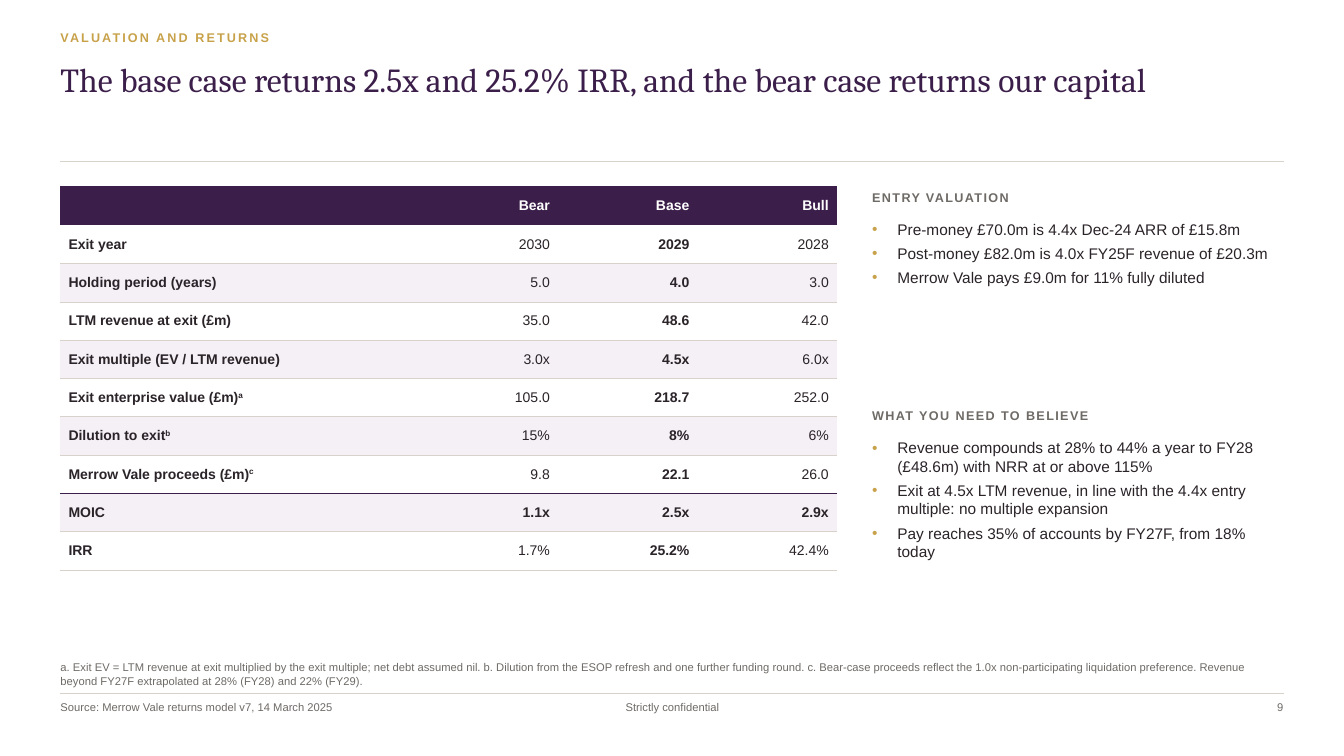
from lxml.etree import SubElement
from pptx import Presentation
from pptx.dml.color import RGBColor
from pptx.enum.shapes import MSO_CONNECTOR
from pptx.enum.text import MSO_ANCHOR, MSO_AUTO_SIZE, PP_ALIGN
from pptx.oxml import parse_xml
from pptx.oxml.ns import nsdecls, qn
from pptx.util import Emu, Inches, Pt

PURPLE, GOLD, INK, GREY = "3B1F4A", "C8A24A", "2A2328", "6E6A66"
RULE, TINT, WHITE = "D8D2CA", "F4F0F6", "FFFFFF"
color = RGBColor.from_string

LEFT, WIDTH = 0.6, 12.13
RIGHT = LEFT + WIDTH
SIDE, SIDE_WIDTH = 8.65, 4.08
FOOTER_TOP = 6.95


def lay_out(box, left, top, width, height, anchor=MSO_ANCHOR.TOP):
    """Position a text shape, clear its insets and return its text frame."""
    box.left, box.top = Inches(left), Inches(top)
    box.width, box.height = Inches(width), Inches(height)
    frame = box.text_frame
    frame.margin_left = frame.margin_right = frame.margin_top = frame.margin_bottom = 0
    frame.word_wrap = True
    frame.auto_size = MSO_AUTO_SIZE.NONE
    frame.vertical_anchor = anchor
    return frame


def add_run(paragraph, text, size, ink, bold=False, face="Arial", tracking=0, raised=False):
    run = paragraph.add_run()
    run.text = text
    run.font.size, run.font.name, run.font.bold = Pt(size), face, bold
    run.font.color.rgb = color(ink)
    properties = run._r.get_or_add_rPr()
    if tracking:
        properties.set("spc", str(int(tracking * 100)))
    if raised:
        properties.set("baseline", "30000")


prs = Presentation()
prs.slide_width, prs.slide_height = Inches(13.33), Inches(7.5)
slide = prs.slides.add_slide(prs.slide_layouts.get_by_name("Comparison"))
holders = {holder.placeholder_format.idx: holder for holder in slide.placeholders}

# Rules under the title and above the footer
for y, weight in [(1.6, 0.75), (6.88, 0.5)]:
    rule = slide.shapes.add_connector(
        MSO_CONNECTOR.STRAIGHT, Inches(LEFT), Inches(y), Inches(RIGHT), Inches(y))
    rule.line.color.rgb, rule.line.width = color(RULE), Pt(weight)
    SubElement(rule._element.spPr, qn("a:effectLst"))

# Title
headline = lay_out(holders[0], LEFT, 0.62, WIDTH, 0.9).paragraphs[0]
headline.alignment, headline.line_spacing = PP_ALIGN.LEFT, 0.92
add_run(headline, "The base case returns 2.5x and 25.2% IRR, and the bear case returns our capital",
        24, PURPLE, face="Cambria")

# Section label and column headings
for text, left, top, width, height, ink, tracking in [
    ("VALUATION AND RETURNS", LEFT, 0.3, 7, 0.25, GOLD, 1.5),
    ("ENTRY VALUATION", SIDE, 1.88, SIDE_WIDTH, 0.22, GREY, 1),
    ("WHAT YOU NEED TO BELIEVE", SIDE, 4.05, SIDE_WIDTH, 0.22, GREY, 1),
]:
    label = lay_out(slide.shapes.add_textbox(0, 0, 0, 0), left, top, width, height)
    add_run(label.paragraphs[0], text, 9, ink, bold=True, tracking=tracking)

# Returns table: label, footnote mark, bear, base, bull
returns = [
    ("", "", "Bear", "Base", "Bull"),
    ("Exit year", "", "2030", "2029", "2028"),
    ("Holding period (years)", "", "5.0", "4.0", "3.0"),
    ("LTM revenue at exit (£m)", "", "35.0", "48.6", "42.0"),
    ("Exit multiple (EV / LTM revenue)", "", "3.0x", "4.5x", "6.0x"),
    ("Exit enterprise value (£m)", "a", "105.0", "218.7", "252.0"),
    ("Dilution to exit", "b", "15%", "8%", "6%"),
    ("Merrow Vale proceeds (£m)", "c", "9.8", "22.1", "26.0"),
    ("MOIC", "", "1.1x", "2.5x", "2.9x"),
    ("IRR", "", "1.7%", "25.2%", "42.4%"),
]
TABLE_WIDTH, LABEL_WIDTH, ROW_HEIGHT = 7.7, 3.55, 0.38
MOIC_ROW, BASE_COLUMN = 8, 2

table = slide.shapes.add_table(
    len(returns), 4, Inches(LEFT), Inches(1.85),
    Inches(TABLE_WIDTH), Inches(ROW_HEIGHT * len(returns))).table
table.first_row = table.horz_banding = False
for c, column in enumerate(table.columns):
    column.width = Inches((TABLE_WIDTH - LABEL_WIDTH) / 3 if c else LABEL_WIDTH)

for r, (metric, mark, *cases) in enumerate(returns):
    table.rows[r].height = Inches(ROW_HEIGHT)
    header = r == 0
    edges = {
        "L": None,
        "R": None,
        "T": (PURPLE, 1) if r == MOIC_ROW else (RULE, 0.5) if r > 1 else None,
        "B": None if header else (PURPLE, 1) if r == MOIC_ROW - 1 else (RULE, 0.5),
    }
    for c, value in enumerate([metric, *cases]):
        cell = table.cell(r, c)
        cell.margin_left = cell.margin_right = Inches(0.08)
        cell.margin_top = cell.margin_bottom = Inches(0.04)
        cell.vertical_anchor = MSO_ANCHOR.MIDDLE
        if header or r % 2 == 0:
            cell.fill.solid()
            cell.fill.fore_color.rgb = color(PURPLE if header else TINT)
        else:
            cell.fill.background()

        entry = cell.text_frame.paragraphs[0]
        entry.alignment = PP_ALIGN.RIGHT if c else PP_ALIGN.LEFT
        bold = header or r == MOIC_ROW or c in (0, BASE_COLUMN)
        if value:
            add_run(entry, value, 10, WHITE if header else INK, bold)
        if mark and c == 0:
            add_run(entry, mark, 10, INK, bold, raised=True)

        for position, (side, edge) in enumerate(edges.items()):
            if edge:
                stroke = f'<a:solidFill><a:srgbClr val="{edge[0]}"/></a:solidFill>'
            else:
                stroke = "<a:noFill/>"
            weight = Pt(edge[1]) if edge else Emu(0)
            cell._tc.get_or_add_tcPr().insert(position, parse_xml(
                f'<a:ln{side} {nsdecls("a")} w="{weight}">{stroke}</a:ln{side}>'))

# Bulleted lists
for idx, top, height, points in [
    (2, 2.18, 1.75, [
        "Pre-money £70.0m is 4.4x Dec-24 ARR of £15.8m",
        "Post-money £82.0m is 4.0x FY25F revenue of £20.3m",
        "Merrow Vale pays £9.0m for 11% fully diluted",
    ]),
    (4, 4.35, 2.05, [
        "Revenue compounds at 28% to 44% a year to FY28 (£48.6m) with NRR at or above 115%",
        "Exit at 4.5x LTM revenue, in line with the 4.4x entry multiple: no multiple expansion",
        "Pay reaches 35% of accounts by FY27F, from 18% today",
    ]),
]:
    frame = lay_out(holders[idx], SIDE, top, SIDE_WIDTH, height)
    for n, point in enumerate(points):
        bullet = frame.add_paragraph() if n else frame.paragraphs[0]
        bullet.space_before = Pt(4 if n else 0)
        settings = bullet._p.get_or_add_pPr()
        settings.set("marL", str(Inches(0.25)))
        settings.set("indent", str(-Inches(0.25)))
        SubElement(SubElement(settings, qn("a:buClr")), qn("a:srgbClr"), val=GOLD)
        SubElement(settings, qn("a:buChar"), char="•")
        add_run(bullet, point, 11, INK)

# Footnotes, source and footer
footnotes = (
    "a. Exit EV = LTM revenue at exit multiplied by the exit multiple; net debt assumed nil. "
    "b. Dilution from the ESOP refresh and one further funding round. "
    "c. Bear-case proceeds reflect the 1.0x non-participating liquidation preference. "
    "Revenue beyond FY27F extrapolated at 28% (FY28) and 22% (FY29)."
)
for idx, text, left, top, width, height, anchor, alignment in [
    (1, footnotes, LEFT, 6.42, WIDTH, 0.4, MSO_ANCHOR.BOTTOM, PP_ALIGN.LEFT),
    (3, "Source: Merrow Vale returns model v7, 14 March 2025",
     LEFT, FOOTER_TOP, 5, 0.4, MSO_ANCHOR.TOP, PP_ALIGN.LEFT),
    (None, "Strictly confidential",
     5.67, FOOTER_TOP, 2, 0.25, MSO_ANCHOR.TOP, PP_ALIGN.CENTER),
    (None, "9", RIGHT - 1, FOOTER_TOP, 1, 0.25, MSO_ANCHOR.TOP, PP_ALIGN.RIGHT),
]:
    box = holders[idx] if idx else slide.shapes.add_textbox(0, 0, 0, 0)
    note = lay_out(box, left, top, width, height, anchor).paragraphs[0]
    note.alignment, note.space_before = alignment, Pt(0)
    add_run(note, text, 8, GREY)

prs.save("out.pptx")
